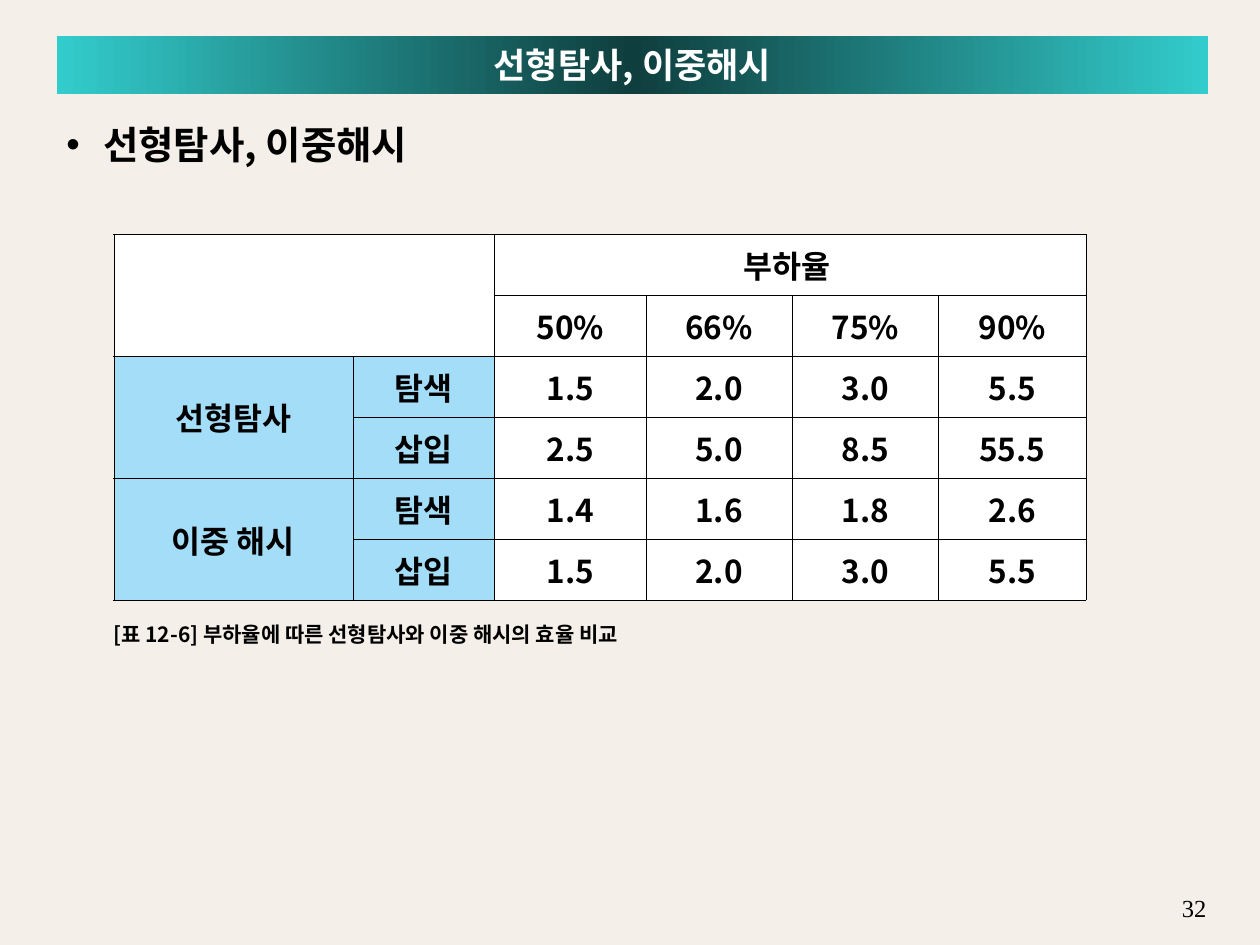
from copy import deepcopy
from lxml import etree
from pptx import Presentation
from pptx import util as u
from pptx.dml.color import RGBColor
from pptx.enum import shapes, text
from pptx.oxml import ns

COLORS = {"background": "F4EFE8", "teal": "33CCCC", "dark": "0F3E3E",
          "white": "FFFFFF", "black": "000000", "blue": "A3DDF7"}
SANS = "Noto Sans CJK KR"
LEFT, CENTER, RIGHT = text.PP_ALIGN.LEFT, text.PP_ALIGN.CENTER, text.PP_ALIGN.RIGHT


def color(name):
    return RGBColor.from_string(COLORS[name])


def write(frame, words, size=18, font=SANS, fill="black", bold=True, align=LEFT,
          anchor=text.MSO_ANCHOR.TOP, margins=(0.25, 0.13), indent=0, bullet=None, before=0):
    frame.word_wrap = True
    frame.vertical_anchor = anchor
    frame.margin_left = frame.margin_right = u.Cm(margins[0])
    frame.margin_top = frame.margin_bottom = u.Cm(margins[1])
    paragraph = frame.paragraphs[0]
    paragraph.alignment = align
    paragraph.space_before = u.Pt(before)
    properties = paragraph._p.get_or_add_pPr()
    if indent:
        properties.set("marL", str(u.Cm(indent)))
        properties.set("indent", str(-u.Cm(indent)))
    if bullet:
        etree.SubElement(properties, ns.qn("a:buFont"), typeface="Arial")
        etree.SubElement(properties, ns.qn("a:buChar"), char=bullet)
    run = paragraph.add_run()
    run.text = words
    run.font.size = u.Pt(size)
    run.font.bold = bold
    run.font.name = font
    run.font.color.rgb = color(fill)
    etree.SubElement(run._r.get_or_add_rPr(), ns.qn("a:ea"), typeface=font)


presentation = Presentation()
presentation.slide_width, presentation.slide_height = u.Cm(25.4), u.Cm(19.05)
slide = presentation.slides.add_slide(presentation.slide_layouts[6])
slide.background.fill.solid()
slide.background.fill.fore_color.rgb = color("background")

number = slide.shapes.add_textbox(u.Cm(23.5), u.Cm(17.88), u.Cm(1.07), u.Cm(0.43))
write(number.text_frame, "32", size=14, font="Times New Roman", bold=False, align=RIGHT)

title = slide.shapes.add_shape(shapes.MSO_SHAPE.RECTANGLE,
                               u.Cm(1.14), u.Cm(0.72), u.Cm(23.22), u.Cm(1.18))
title.shadow.inherit = False
title.line.fill.background()
title.fill.gradient()
title.fill.gradient_angle = 0
stops = title._element.spPr.find(".//" + ns.qn("a:gsLst"))
stops.append(deepcopy(stops[0]))
for stop, name, position in zip(title.fill.gradient_stops, ("teal", "dark", "teal"), (0, 0.5, 1)):
    stop.color.rgb = color(name)
    stop.position = position
write(title.text_frame, "선형탐사, 이중해시", size=20, fill="white", align=CENTER,
      anchor=text.MSO_ANCHOR.MIDDLE)

caption = slide.shapes.add_textbox(u.Cm(2.29), u.Cm(12.53), u.Cm(11.8), u.Cm(0.5))
write(caption.text_frame, "[표 12-6] 부하율에 따른 선형탐사와 이중 해시의 효율 비교",
      size=12, margins=(0, 0), indent=0.79)

body = slide.shapes.add_textbox(u.Cm(1.09), u.Cm(2.31), u.Cm(23.22), u.Cm(15.6))
write(body.text_frame, "선형탐사, 이중해시", size=22, indent=0.74, bullet="•", before=5.5)

rows = [
    ["", "", "부하율 ", "", "", ""],
    ["", "", "50%", "66%", "75%", "90%"],
    ["선형탐사", "탐색", "1.5", "2.0", "3.0", "5.5"],
    ["", "삽입", "2.5", "5.0", "8.5", "55.5"],
    ["이중 해시", "탐색", "1.4", "1.6", "1.8", "2.6"],
    ["", "삽입", "1.5", "2.0", "3.0", "5.5"],
]
widths = [4.83, 2.85, 3.05, 2.95, 2.95, 2.97]
row_height = 1.23
table = slide.shapes.add_table(len(rows), len(widths), u.Cm(2.29), u.Cm(4.72),
                               u.Cm(sum(widths)), u.Cm(row_height * len(rows))).table
for column, width in zip(table.columns, widths):
    column.width = u.Cm(width)
for first, last in (((0, 0), (1, 1)), ((0, 2), (0, 5)), ((2, 0), (3, 0)), ((4, 0), (5, 0))):
    table.cell(*first).merge(table.cell(*last))

for row_index, row in enumerate(rows):
    table.rows[row_index].height = u.Cm(row_height)
    for column_index, words in enumerate(row):
        cell = table.cell(row_index, column_index)
        properties = cell._tc.get_or_add_tcPr()
        for side in ("lnL", "lnR", "lnT", "lnB"):
            line = etree.SubElement(properties, ns.qn("a:" + side), w=str(u.Pt(0.06)))
            solid = etree.SubElement(line, ns.qn("a:solidFill"))
            etree.SubElement(solid, ns.qn("a:srgbClr"), val=COLORS["black"])
        cell.fill.solid()
        cell.fill.fore_color.rgb = color("blue" if row_index > 1 and column_index < 2 else "white")
        cell.vertical_anchor = text.MSO_ANCHOR.MIDDLE
        if words:
            write(cell.text_frame, words, align=CENTER, anchor=text.MSO_ANCHOR.MIDDLE)

presentation.save("out.pptx")
